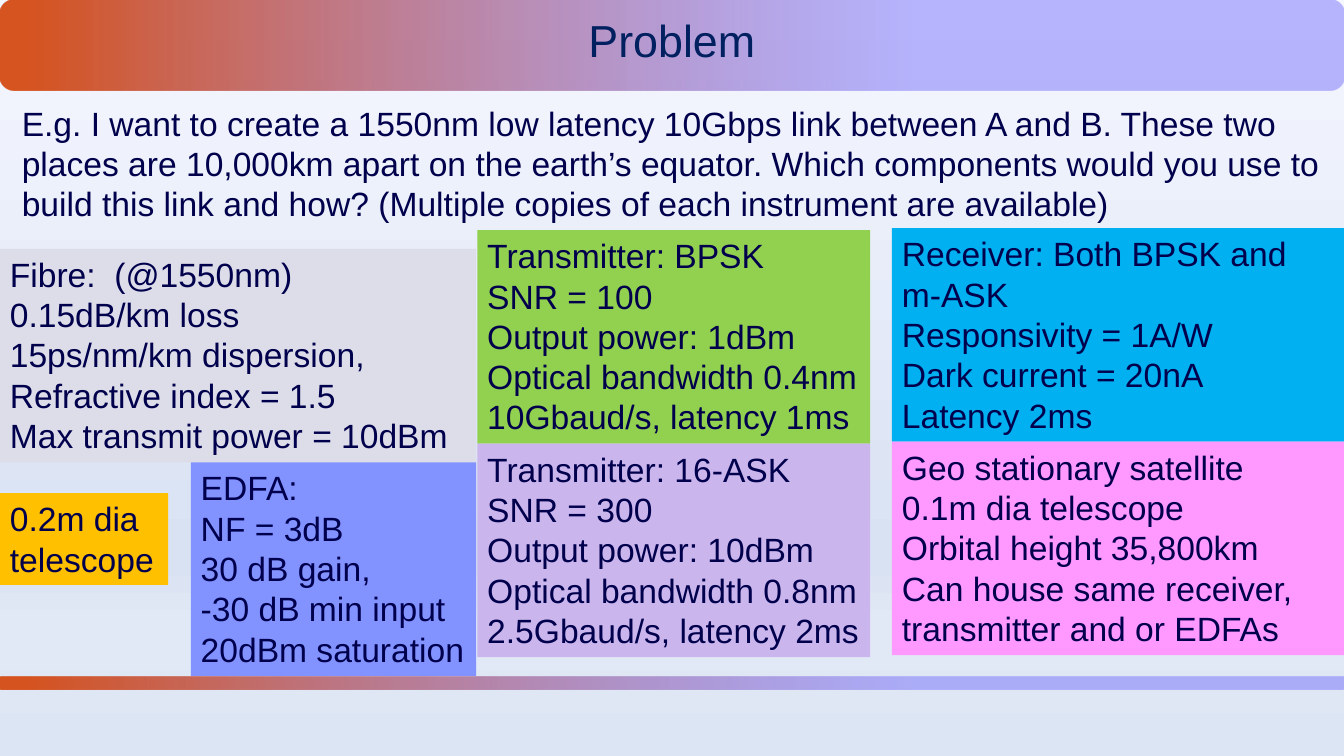
from pptx import Presentation
from pptx.util import Cm, Pt
from pptx.dml.color import RGBColor as RGB
from pptx.enum.shapes import MSO_SHAPE as SHAPE
from pptx.enum.text import MSO_ANCHOR as ANCHOR, PP_ALIGN as ALIGN
from pptx.oxml.ns import qn
from lxml.etree import SubElement

COLORS = {
    "title": "002060", "text": "00004C", "orange": "D65420", "violet": "7B75FB",
    "sky": "F5F7FF", "haze": "D9E2F3", "mist": "E2E9F6", "base": "DCE5F4",
    "fibre": "DDDDEA", "edfa": "8293FF", "bpsk": "92D050", "ask": "CAB5EC",
    "receiver": "00B0F0", "telescope": "FFC000", "satellite": "FF99FF",
}
WIDTH, HEIGHT = 33.87, 19.05
CARD_H = 5.38
BAR_STOPS = [(2, "orange", 100), (68, "violet", 51)]
SKY_STOPS = [(0, "sky", 100), (74, "haze", 100), (83, "mist", 100), (100, "base", 47)]


def color(name):
    return RGB.from_string(COLORS[name])


def set_gradient(fill, root, stops, angle):
    fill.gradient()
    fill.gradient_angle = angle
    gs_list = root.find(".//" + qn("a:gsLst"))
    for gs in list(gs_list):
        gs_list.remove(gs)
    for pos, name, opacity in stops:
        gs = SubElement(gs_list, qn("a:gs"), pos=str(pos * 1000))
        clr = SubElement(gs, qn("a:srgbClr"), val=COLORS[name])
        if opacity < 100:
            SubElement(clr, qn("a:alpha"), val=str(opacity * 1000))


def format_runs(tf, size, name):
    for p in tf.paragraphs:
        for r in p.runs:
            r.font.name, r.font.size = "Arial", Pt(size)
            r.font.color.rgb = color(name)


def add_bar(s, box):
    sp = s.shapes.add_shape(SHAPE.ROUNDED_RECTANGLE, *map(Cm, box))
    sp.shadow.inherit = False
    sp.line.fill.background()
    set_gradient(sp.fill, sp._element, BAR_STOPS, 0)
    s.shapes._spTree.insert(2, sp._element)


def add_header(s, box, text):
    x, y, w, h = box
    add_bar(s, box)
    sp = s.shapes.title
    sp.left, sp.top, sp.width, sp.height = map(Cm, (x, y + 0.51, w, h - 1.12))
    tf = sp.text_frame
    tf.text = text
    tf.vertical_anchor = ANCHOR.MIDDLE
    p = tf.paragraphs[0]
    p.alignment, p.line_spacing, p.space_before = ALIGN.CENTER, 0.9, Pt(10)
    format_runs(tf, 32, "title")


def add_text(s, box, text, fill=None):
    sp = s.shapes.add_textbox(*map(Cm, box))
    if fill:
        sp.fill.solid()
        sp.fill.fore_color.rgb = color(fill)
    tf = sp.text_frame
    tf.word_wrap = True
    tf.text = text
    format_runs(tf, 24, "text")


def add_stack(s, x, y, w, cards):
    for i, (fill, text) in enumerate(cards):
        add_text(s, (x, y + i * CARD_H, w, CARD_H), text, fill)


def build_problem(prs):
    s = prs.slides.add_slide(prs.slide_layouts[5])
    set_gradient(s.background.fill, s._element, SKY_STOPS, 270)
    add_header(s, (0, 0, WIDTH, 2.29), "Problem")
    add_bar(s, (0, 17.04, WIDTH, 0.33))
    add_text(s, (0.3, 2.46, 33.33, 3.33),
             "E.g. I want to create a 1550nm low latency 10Gbps link between A and B. "
             "These two places are 10,000km apart on the earth’s equator. Which components "
             "would you use to build this link and how? "
             "(Multiple copies of each instrument are available)")
    add_stack(s, 0, 6.27, 12, [
        ("fibre", "Fibre:  (@1550nm)\n0.15dB/km loss\n15ps/nm/km dispersion,\n"
                  "Refractive index = 1.5\nMax transmit power = 10dBm")])
    add_stack(s, 4.81, 6.27 + CARD_H, 7.19, [
        ("edfa", "EDFA:\nNF = 3dB\n30 dB gain,\n-30 dB min input\n20dBm saturation")])
    add_stack(s, 12.03, 5.8, 9.9, [
        ("bpsk", "Transmitter: BPSK\nSNR = 100\nOutput power: 1dBm\n"
                 "Optical bandwidth 0.4nm\n10Gbaud/s, latency 1ms"),
        ("ask", "Transmitter: 16-ASK\nSNR = 300\nOutput power: 10dBm\n"
                "Optical bandwidth 0.8nm\n2.5Gbaud/s, latency 2ms")])
    add_stack(s, 22.48, 5.75, 11.39, [
        ("receiver", "Receiver: Both BPSK and m-ASK\nResponsivity = 1A/W\n"
                     "Dark current = 20nA\nLatency 2ms"),
        ("satellite", "Geo stationary satellite\n0.1m dia telescope\n"
                      "Orbital height 35,800km\n"
                      "Can house same receiver, transmitter and or EDFAs")])
    add_text(s, (0, 12.43, 4.24, 2.31), "0.2m dia telescope", "telescope")


prs = Presentation()
prs.slide_width, prs.slide_height = Cm(WIDTH), Cm(HEIGHT)
build_problem(prs)
prs.save("out.pptx")
